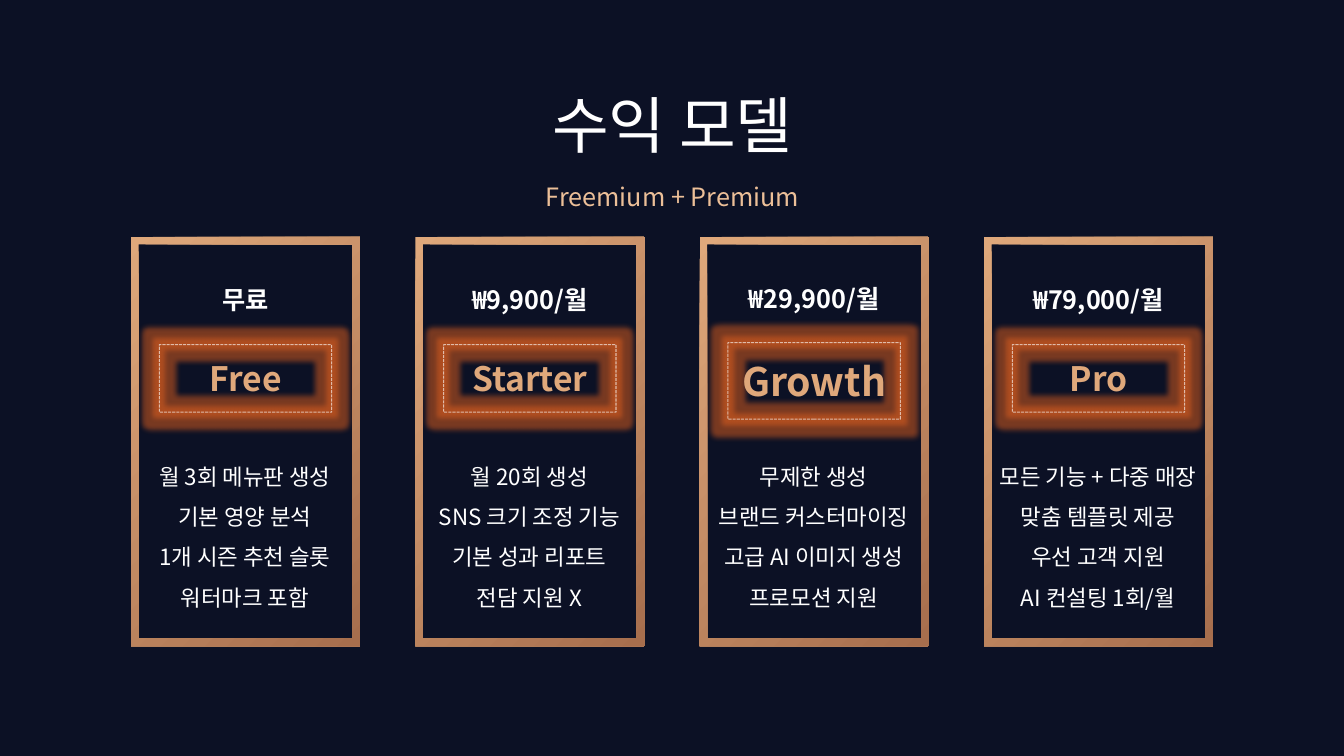
import pptx
import pptx.dml.color
import pptx.enum.dml
import pptx.enum.shapes
import pptx.enum.text
import pptx.oxml
import pptx.oxml.ns
import pptx.util
from pptx.util import Inches

FONT = "Noto Sans CJK KR"
WHITE, TAN, BROWN, GLOW = "FFFFFF", "DFA87B", "A76E4D", "E8631F"
LEFT, PITCH = 1.3, 2.82
SHAPES = pptx.enum.shapes.MSO_SHAPE
PLANS = [
    ("Free", "무료", 24, 2.77, 3.42, 0.67,
     ["월 3회 메뉴판 생성", "기본 영양 분석", "1개 시즌 추천 슬롯", "워터마크 포함"]),
    ("Starter", "₩9,900/월", 24, 2.77, 3.42, 0.67,
     ["월 20회 생성", "SNS 크기 조정 기능", "기본 성과 리포트", "전담 지원 X"]),
    ("Growth", "₩29,900/월", 28, 2.76, 3.4, 0.76,
     ["무제한 생성", "브랜드 커스터마이징", "고급 AI 이미지 생성", "프로모션 지원"]),
    ("Pro", "₩79,000/월", 24, 2.77, 3.42, 0.67,
     ["모든 기능 + 다중 매장", "맞춤 템플릿 제공", "우선 고객 지원", "AI 컨설팅 1회/월"]),
]


def color(code):
    """Turn a hex string into a colour."""
    return pptx.dml.color.RGBColor.from_string(code)


def element(xml):
    """Parse a DrawingML snippet whose root lacks its namespace."""
    head, rest = xml.split(" ", 1)
    return pptx.oxml.parse_xml(f"{head} {pptx.oxml.ns.nsdecls('a')} {rest}")


def write(shape, lines, size=16, tint=WHITE, bold=False, space=None, inset=None):
    """Write centred lines into a shape with one format."""
    frame = shape.text_frame
    frame.word_wrap = True
    frame.auto_size = pptx.enum.text.MSO_AUTO_SIZE.SHAPE_TO_FIT_TEXT
    if inset is not None:
        frame.margin_left = frame.margin_right = Inches(inset)
        frame.margin_top = frame.margin_bottom = Inches(inset)
    for i, line in enumerate(lines):
        para = frame.add_paragraph() if i else frame.paragraphs[0]
        para.alignment = pptx.enum.text.PP_ALIGN.CENTER
        para.line_spacing = space
        run = para.add_run()
        run.text = line
        font = run.font
        font.name, font.size, font.bold = FONT, pptx.util.Pt(size), bold
        font.color.rgb = color(tint)
        run.font._element.append(element(f'<a:ea typeface="{FONT}"/>'))


def label(slide, box, lines, **style):
    """Add a text box."""
    write(slide.shapes.add_textbox(*map(Inches, box)), lines, **style)


def border(slide, box):
    """Add a copper gradient frame."""
    shape = slide.shapes.add_shape(SHAPES.FRAME, *map(Inches, box))
    shape.shadow.inherit = False
    shape.adjustments[0] = 0.033
    shape.line.fill.background()
    shape.fill.gradient()
    shape.fill.gradient_angle = 315
    for stop, tint in zip(shape.fill.gradient_stops, (TAN, BROWN)):
        stop.color.rgb = color(tint)


def badge(slide, box, name, size):
    """Add a glowing dashed box with a plan name."""
    shape = slide.shapes.add_shape(SHAPES.RECTANGLE, *map(Inches, box))
    shape.shadow.inherit = False
    shape.fill.background()
    shape.line.width = pptx.util.Pt(0.75)
    shape.line.color.rgb = color(WHITE)
    shape.line.dash_style = pptx.enum.dml.MSO_LINE.SQUARE_DOT
    props = shape._element.spPr
    tint = props.find(".//" + pptx.oxml.ns.qn("a:ln")).find(
        ".//" + pptx.oxml.ns.qn("a:srgbClr"))
    tint.append(element('<a:alpha val="61000"/>'))
    props.find(pptx.oxml.ns.qn("a:effectLst")).append(element(
        f'<a:glow rad="101600"><a:srgbClr val="{GLOW}">'
        '<a:alpha val="50000"/></a:srgbClr></a:glow>'))
    shape.text_frame.vertical_anchor = pptx.enum.text.MSO_ANCHOR.MIDDLE
    write(shape, [name], size=size, tint=TAN, bold=True)


def card(slide, left, plan):
    """Add one pricing card."""
    name, price, size, top, mid, high, perks = plan
    border(slide, (left, 2.35, 2.27, 4.06))
    label(slide, (left + 0.1, top, 2.07, 0.4), [price], size=18, bold=True)
    badge(slide, (left + 0.28, mid, 1.71, high), name, size)
    label(slide, (left - 0.12, 4.41, 2.5, 1.68), perks, space=1.5)


def main():
    """Build the pricing slide."""
    deck = pptx.Presentation()
    deck.slide_width, deck.slide_height = Inches(13.33), Inches(7.5)
    slide = deck.slides.add_slide(deck.slide_layouts[6])
    slide.background.fill.solid()
    slide.background.fill.fore_color.rgb = color("0C1125")
    label(slide, (2.77, 0.81, 7.8, 0.84), ["수익 모델"], size=44, inset=0.05)
    label(slide, (2.77, 1.75, 7.8, 0.41), ["Freemium + Premium"],
          size=18, tint="ECBF98", inset=0.05)
    for i, plan in enumerate(PLANS):
        card(slide, LEFT + i * PITCH, plan)
    deck.save("out.pptx")


if __name__ == "__main__":
    main()
